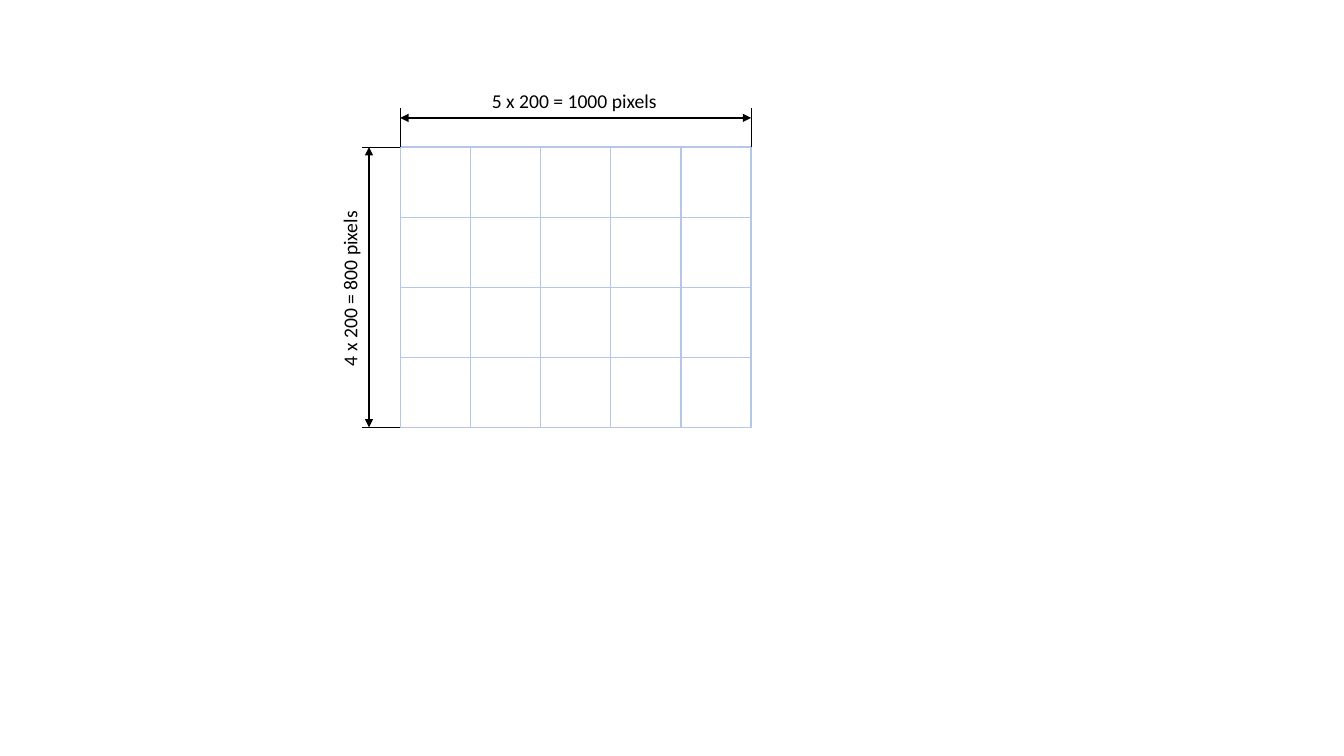
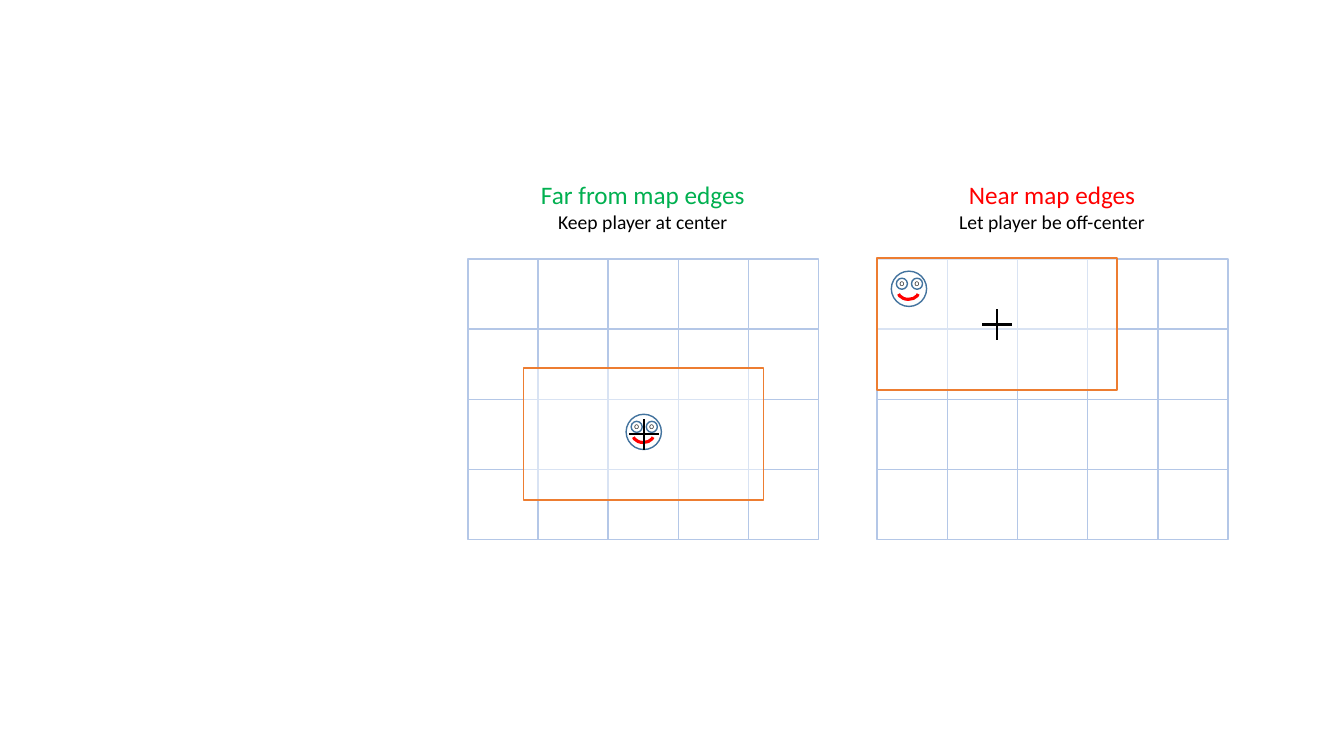
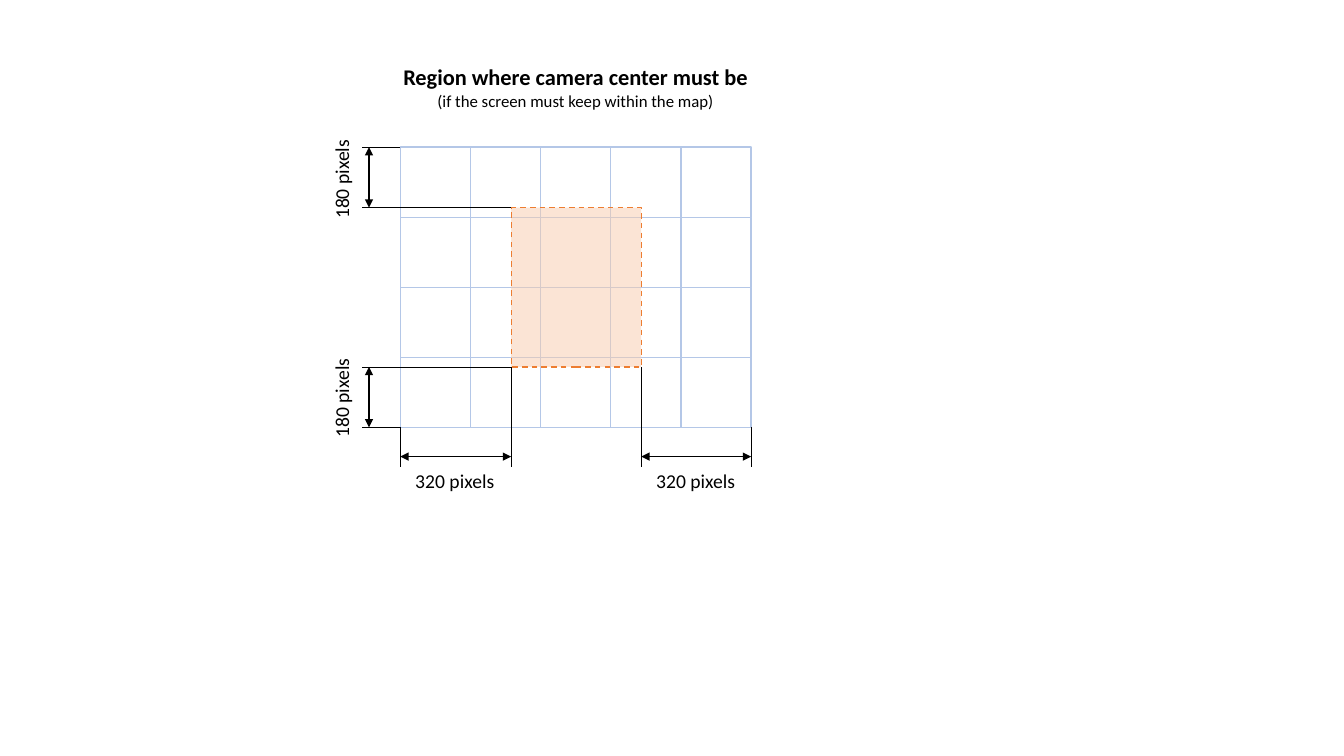
from lxml import etree
from pptx import Presentation
from pptx.dml.color import RGBColor
from pptx.enum import dml, shapes, text
from pptx.oxml import ns
from pptx.util import Inches, Pt

# Shared style
FONT = "Calibri"
BLACK = RGBColor(0x00, 0x00, 0x00)
WHITE = RGBColor(0xFF, 0xFF, 0xFF)
GRID_BLUE = RGBColor(0xB4, 0xC7, 0xE7)
FACE_BLUE = RGBColor(0x43, 0x73, 0x9E)
ORANGE = RGBColor(0xED, 0x7D, 0x31)
PEACH = RGBColor(0xF8, 0xCB, 0xAD)
RED = RGBColor(0xFF, 0x00, 0x00)
GREEN = RGBColor(0x00, 0xB0, 0x50)
RECTANGLE, OVAL = shapes.MSO_SHAPE.RECTANGLE, shapes.MSO_SHAPE.OVAL
CENTER = text.PP_ALIGN.CENTER

# Map grid and its edges on slides 1 and 3
COLUMNS, ROWS = 5, 4
CELL = 3.48 / COLUMNS
LEFT, RIGHT, TOP, BOTTOM = 3.97, 7.45, 1.46, 4.24


def write(frame, *lines, size=14, color=BLACK, bold=False, align=None):
    """Write lines into one paragraph; a line is text or (text, format)."""
    paragraph = frame.paragraphs[0]
    paragraph.alignment = align
    for number, line in enumerate(lines):
        words, style = (line, {}) if isinstance(line, str) else line
        if number:
            paragraph.add_line_break()
        run = paragraph.add_run()
        run.text = words
        run.font.name = FONT
        run.font.size = Pt(style.get("size", size))
        run.font.bold = style.get("bold", bold)
        run.font.color.rgb = style.get("color", color)


def draw(owner, kind, box, line, fill=None, weight=1, opacity=100):
    """Draw a preset shape; box is left, top, width, height in inches."""
    shape = owner.shapes.add_shape(kind, *map(Inches, box))
    shape.shadow.inherit = False
    shape.line.color.rgb = line
    shape.line.width = Pt(weight)
    if fill is None:
        shape.fill.background()
    else:
        shape.fill.solid()
        shape.fill.fore_color.rgb = fill
    if opacity < 100:
        color = shape._element.spPr.find(".//" + ns.qn("a:srgbClr"))
        etree.SubElement(color, ns.qn("a:alpha"), val=str(opacity * 1000))
    return shape


presentation = Presentation()
presentation.slide_width = Inches(13.33)
presentation.slide_height = Inches(7.5)
blank = presentation.slide_layouts[6]
size_slide, camera_slide, region_slide = (
    presentation.slides.add_slide(blank) for _ in range(3))

# Map grids
for slide, left, top in [(size_slide, LEFT, TOP), (camera_slide, 4.64, 2.57),
                         (camera_slide, 8.7, 2.57), (region_slide, LEFT, TOP)]:
    owner = slide.shapes.add_group_shape() if slide is camera_slide else slide
    for row in range(ROWS):
        for column in range(COLUMNS):
            box = (left + column * CELL, top + row * CELL, CELL, CELL)
            draw(owner, RECTANGLE, box, GRID_BLUE, WHITE)

# Camera views, each with the player's face
for view_left, view_top, face_left, face_top in [(5.19, 3.65, 6.21, 4.11),
                                                 (8.7, 2.56, 8.84, 2.69)]:
    draw(camera_slide, RECTANGLE, (view_left, view_top, 2.38, 1.31),
         ORANGE, WHITE, opacity=50)
    face = camera_slide.shapes.add_group_shape()
    draw(face, OVAL, (face_left, face_top, 0.35, 0.35), FACE_BLUE, WHITE)
    for offset in (0.05, 0.2):
        eye = draw(face, OVAL, (face_left + offset, face_top + 0.07, 0.11, 0.11),
                   FACE_BLUE, WHITE)
        eye.text_frame.vertical_anchor = text.MSO_ANCHOR.MIDDLE
        write(eye.text_frame, "O", size=5, align=CENTER)
    mouth = draw(face, shapes.MSO_SHAPE.ARC,
                 (face_left + 0.07, face_top + 0.14, 0.2, 0.14), RED, weight=2.25)
    mouth.adjustments[0], mouth.adjustments[1] = 6, 102

# Region allowed for the camera center
region_left, region_top, region_right, region_bottom = 5.07, 2.06, 6.36, 3.64
region = draw(region_slide, RECTANGLE,
              (region_left, region_top, region_right - region_left,
               region_bottom - region_top), ORANGE, PEACH, opacity=50)
region.line.dash_style = dml.MSO_LINE.DASH

# Lines as x1, y1, x2, y2: extension lines, dimension arrows, center marks
size_extensions = [(LEFT, TOP, LEFT, 1.07), (RIGHT, TOP, RIGHT, 1.07),
                   (LEFT, TOP, 3.59, TOP), (LEFT, BOTTOM, 3.59, BOTTOM)]
size_dimensions = [(RIGHT, 1.17, LEFT, 1.17), (3.66, BOTTOM, 3.66, TOP)]
region_extensions = [
    (x, 4.63, x, y) for x, y in [
        (LEFT, BOTTOM), (region_left, region_bottom),
        (region_right, region_bottom), (RIGHT, BOTTOM)]
] + [
    (x, y, 3.59, y) for x, y in [
        (LEFT, TOP), (region_left, region_top),
        (region_left, region_bottom), (LEFT, BOTTOM)]
]
region_dimensions = [(region_left, 4.53, LEFT, 4.53),
                     (RIGHT, 4.53, region_right, 4.53),
                     (3.66, region_top, 3.66, TOP),
                     (3.66, BOTTOM, 3.66, region_bottom)]
center_marks = [mark for x, y in [(6.39, 4.31), (9.89, 3.22)]
                for mark in [(x, y - 0.15, x, y + 0.15),
                             (x - 0.15, y, x + 0.15, y)]]
for slide, lines, weight, arrows in [
    (size_slide, size_extensions, 0.5, False),
    (size_slide, size_dimensions, 1, True),
    (camera_slide, center_marks, 1.5, False),
    (region_slide, region_extensions, 0.5, False),
    (region_slide, region_dimensions, 1, True),
]:
    for ends in lines:
        connector = slide.shapes.add_connector(
            shapes.MSO_CONNECTOR.STRAIGHT, *map(Inches, ends))
        connector.line.color.rgb = BLACK
        connector.line.width = Pt(weight)
        properties = connector._element.spPr
        if arrows:
            for tag in ("a:headEnd", "a:tailEnd"):
                etree.SubElement(properties.find(ns.qn("a:ln")),
                                 ns.qn(tag), type="triangle")
        etree.SubElement(properties, ns.qn("a:effectLst"))

# Labels and headings
for slide, box, rotation, align, lines in [
    (size_slide, (4.78, 0.83, 1.86, 0.34), 0, None, ["5 x 200 = 1000 pixels"]),
    (size_slide, (2.59, 2.68, 1.76, 0.34), 270, None, ["4 x 200 = 800 pixels"]),
    (camera_slide, (5.25, 1.73, 2.25, 0.64), 0, CENTER,
     [("Far from map edges", {"size": 18, "color": GREEN}),
      "Keep player at center"]),
    (camera_slide, (9.4, 1.73, 2.07, 0.64), 0, CENTER,
     [("Near map edges", {"size": 18, "color": RED}),
      "Let player be off-center"]),
    (region_slide, (4.02, 4.6, 1, 0.34), 0, None, ["320 pixels"]),
    (region_slide, (6.41, 4.6, 1, 0.34), 0, None, ["320 pixels"]),
    (region_slide, (2.89, 1.6, 1, 0.34), 270, None, ["180 pixels"]),
    (region_slide, (2.89, 3.77, 1, 0.34), 270, None, ["180 pixels"]),
    (region_slide, (3.88, 0.58, 3.66, 0.57), 0, CENTER,
     [("Region where camera center must be", {"size": 16, "bold": True}),
      ("(if the screen must keep within the map)", {"size": 12})]),
]:
    label = slide.shapes.add_textbox(*map(Inches, box))
    label.rotation = rotation
    label.text_frame.word_wrap = False
    label.text_frame.auto_size = text.MSO_AUTO_SIZE.SHAPE_TO_FIT_TEXT
    write(label.text_frame, *lines, align=align)

presentation.save("out.pptx")
